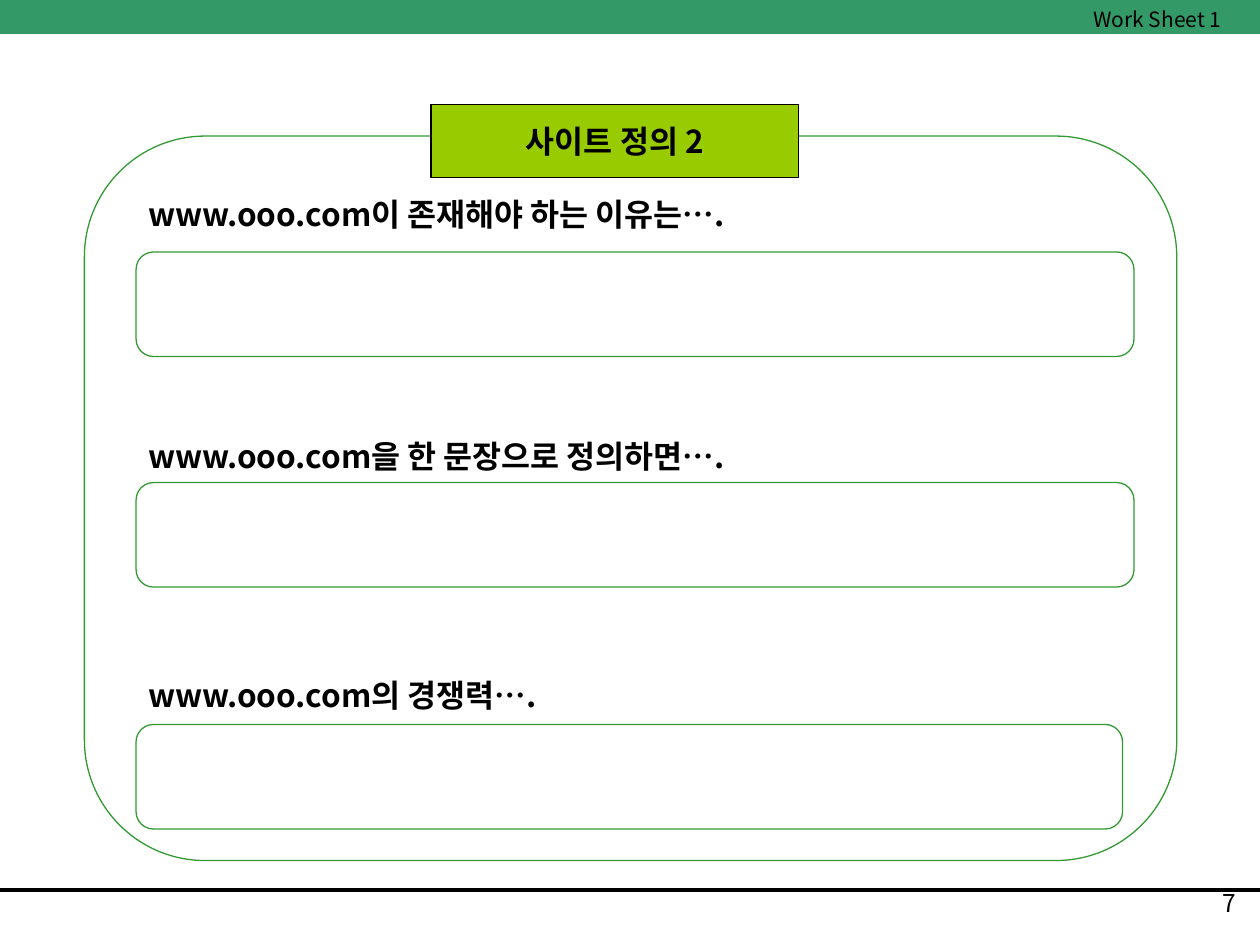
import pptx
import pptx.util
import pptx.dml.color
import pptx.enum.shapes
import pptx.enum.text
import pptx.oxml
import pptx.oxml.ns
import lxml.etree

Inches = pptx.util.Inches
Pt = pptx.util.Pt
Rgb = pptx.dml.color.RGBColor.from_string
Kind = pptx.enum.shapes.MSO_SHAPE
Align = pptx.enum.text.PP_ALIGN
qn = pptx.oxml.ns.qn

theme = {
    "ink": "000000",
    "band": "339966",
    "frame": "339933",
    "label": "99CC00",
    "font": "Noto Sans CJK KR",
    "dots": "Times New Roman",
    "head": 18,
    "page": 14,
    "note": 12,
    "thin": 0.75,
    "rule": 2.25,
}


def write(shape, text, size, bold=False, align=Align.LEFT, font=theme["font"]):
    line = shape.text_frame.paragraphs[0]
    line.alignment = align
    run = line.add_run()
    run.text = text
    run.font.size = Pt(size)
    run.font.bold = bold
    run.font.name = font
    run.font.color.rgb = Rgb(theme["ink"])
    east = lxml.etree.Element(qn("a:ea"), typeface=theme["font"])
    run.font._element.find(qn("a:latin")).addnext(east)


def draw(kind, box, fill=None, line=None):
    shape = slide.shapes.add_shape(kind, *map(Inches, box))
    shape.shadow.inherit = False
    if fill:
        shape.fill.solid()
        shape.fill.fore_color.rgb = Rgb(fill)
    else:
        shape.fill.background()
    if line:
        shape.line.color.rgb = Rgb(line)
        shape.line.width = Pt(theme["thin"])
    else:
        shape.line.fill.background()
    return shape


deck = pptx.Presentation()
deck.slide_width = Inches(10)
deck.slide_height = Inches(7.5)
slide = deck.slides.add_slide(deck.slide_layouts[5])

rule = slide.shapes.add_connector(
    pptx.enum.shapes.MSO_CONNECTOR.STRAIGHT,
    Inches(0), Inches(7.06), Inches(10), Inches(7.06),
)
rule.line.color.rgb = Rgb(theme["ink"])
rule.line.width = Pt(theme["rule"])
lxml.etree.SubElement(rule.element.spPr, qn("a:effectLst"))

draw(Kind.RECTANGLE, (0, 0, 10.01, 0.27), fill=theme["band"])

page = slide.shapes.add_textbox(Inches(7.83), Inches(7), Inches(2.08), Inches(0.5))
page.text_frame.word_wrap = True
write(page, "7", theme["page"], align=Align.RIGHT)

asks = [
    ("www.ooo.com이 존재해야 하는 이유는", 1.5, 2, 7.92),
    ("www.ooo.com을 한 문장으로 정의하면", 3.42, 3.83, 7.92),
    ("www.ooo.com의 경쟁력", 5.32, 5.75, 7.83),
]
for text, top, field, width in asks:
    draw(Kind.ROUNDED_RECTANGLE, (1.08, field, width, 0.83), line=theme["frame"])
    ask = slide.shapes.add_textbox(Inches(1.08), Inches(top), Inches(5), Inches(0.4))
    ask.text_frame.word_wrap = True
    write(ask, text, theme["head"], bold=True)
    write(ask, "…", theme["head"], bold=True, font=theme["dots"])
    write(ask, ".", theme["head"], bold=True)

draw(Kind.ROUNDED_RECTANGLE, (0.67, 1.08, 8.67, 5.75), line=theme["frame"])

title = slide.shapes.title
title.left, title.top = Inches(3.42), Inches(0.83)
title.width, title.height = Inches(2.92), Inches(0.58)
title.fill.solid()
title.fill.fore_color.rgb = Rgb(theme["label"])
title.line.color.rgb = Rgb(theme["ink"])
title.line.width = Pt(theme["thin"])
title.text_frame.word_wrap = False
title.text_frame.vertical_anchor = pptx.enum.text.MSO_ANCHOR.MIDDLE
write(title, "사이트 정의 2", theme["head"], bold=True, align=Align.CENTER)
title.element.getparent().append(title.element)

note = slide.shapes.add_textbox(Inches(8.58), Inches(0), Inches(1.42), Inches(0.3))
note.text_frame.word_wrap = True
write(note, "Work Sheet 1", theme["note"])

deck.save("out.pptx")
